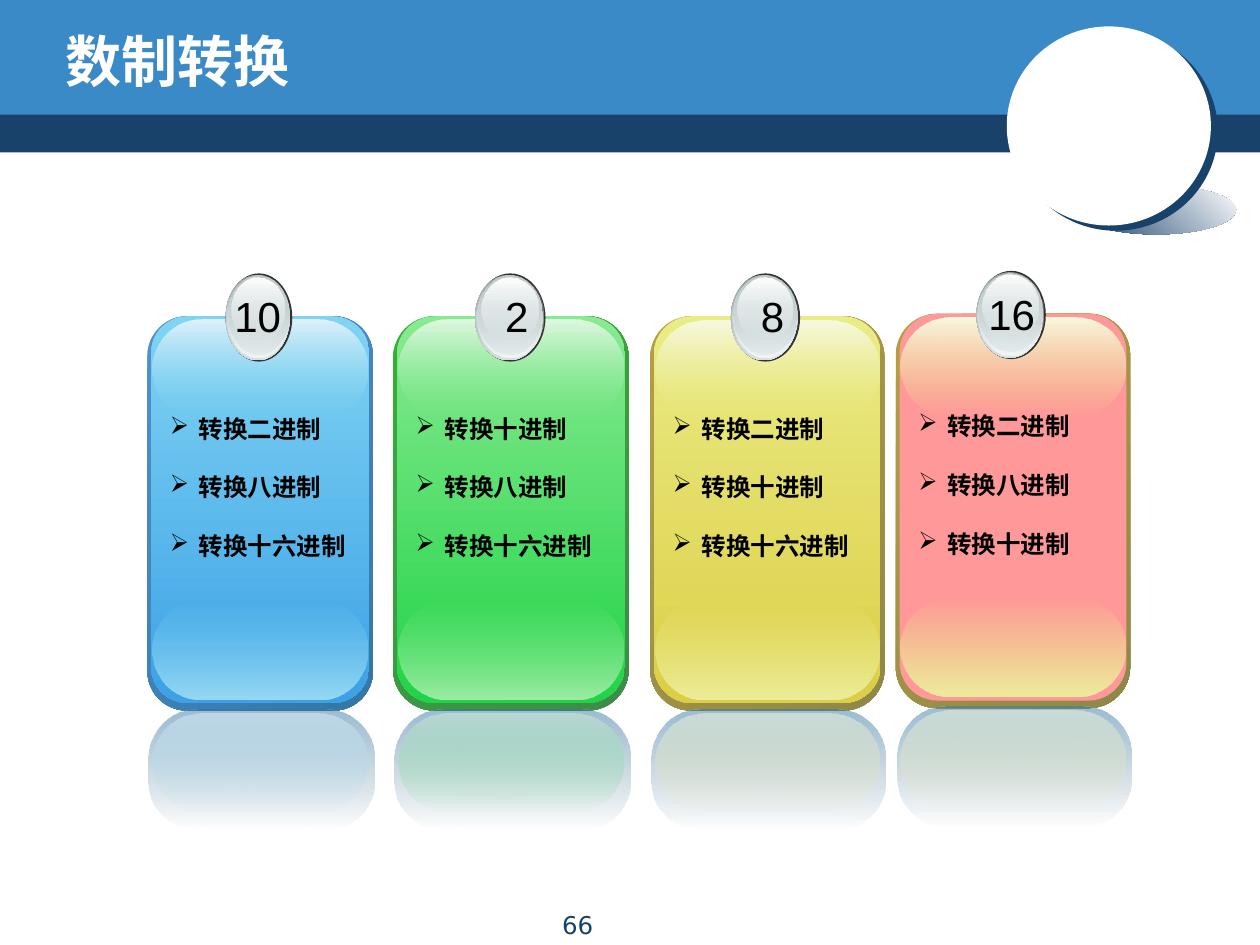
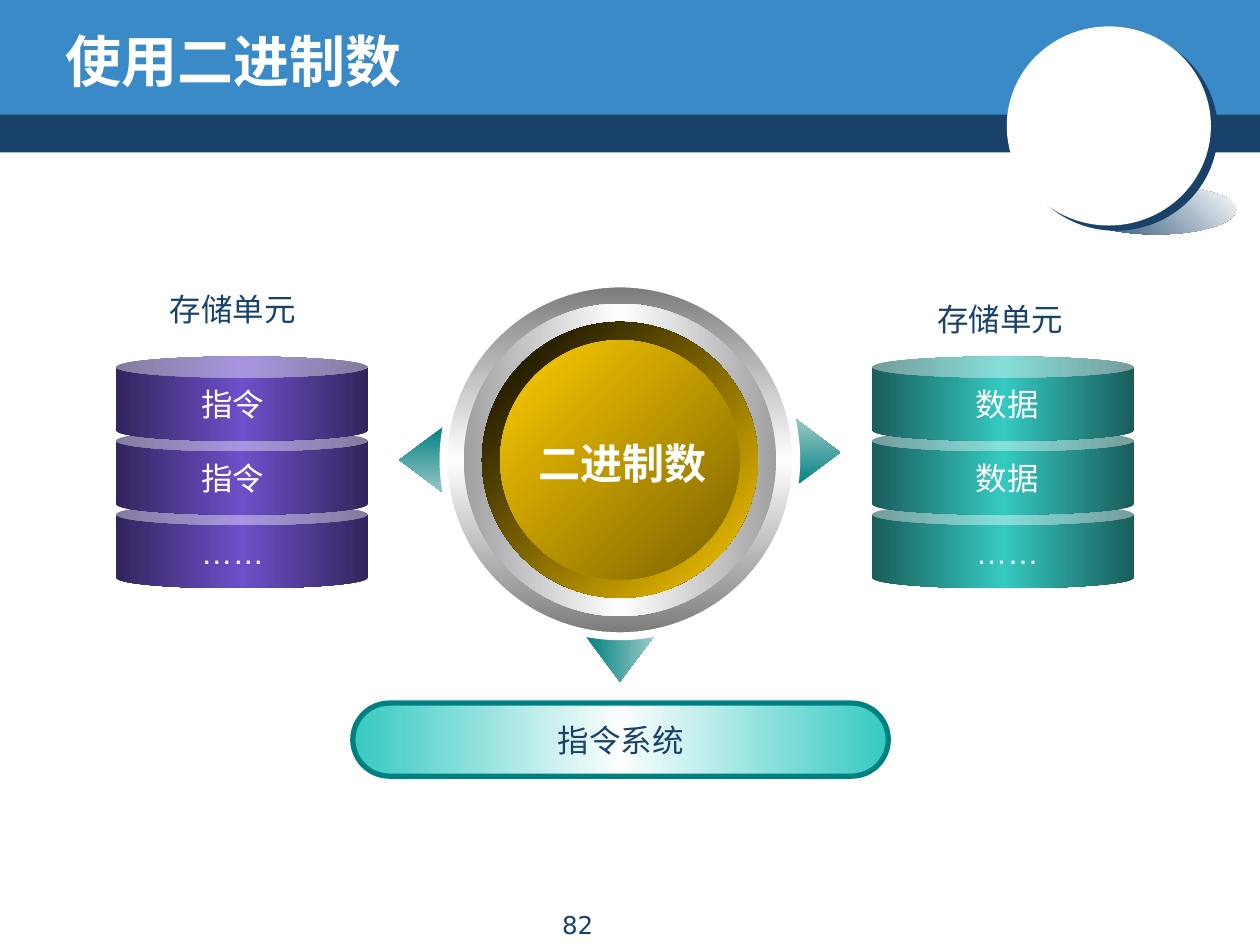
from lxml.etree import SubElement
from pptx import Presentation
from pptx.dml.color import RGBColor
from pptx.enum.shapes import MSO_SHAPE
from pptx.enum.text import MSO_ANCHOR, PP_ALIGN
from pptx.oxml import parse_xml
from pptx.oxml.ns import nsdecls, qn
from pptx.util import Inches, Pt

WHITE = RGBColor(0xFF, 0xFF, 0xFF)
BLACK = RGBColor(0x00, 0x00, 0x00)
NAVY = RGBColor(0x19, 0x42, 0x6B)
BLUE = RGBColor(0x39, 0x8A, 0xC7)

# Card colours: edge start and end, body start and end, lower glow, upper glow
SKY_CARD = [RGBColor.from_string(c) for c in "4E91D4 3477A4 80D4F2 3CA1E6 97DAF4 DFF2FB".split()]
GREEN_CARD = [RGBColor.from_string(c) for c in "34B034 3F8B4A 88EA91 21D347 9DEDA4 E0F8E2".split()]
YELLOW_CARD = [RGBColor.from_string(c) for c in "B59F43 8F8849 EAEC86 DCCE46 EDEE9C F8F9E0".split()]
PINK = RGBColor(0xFF, 0x99, 0x99)
MINT = RGBColor(0xD6, 0xF1, 0xD8)
MIRROR_TOP = RGBColor(0x34, 0x77, 0xA4)
MIRROR_END = RGBColor(0x25, 0x55, 0x75)

CHARCOAL = RGBColor(0x33, 0x33, 0x33)
STEEL = RGBColor(0x99, 0xA1, 0xA2)
SILVER = RGBColor(0xD6, 0xE1, 0xE2)
PEARL = RGBColor(0xF2, 0xF5, 0xF5)
ASH = RGBColor(0xC1, 0xCB, 0xCC)

TEAL = RGBColor(0x00, 0x80, 0x80)
TEAL_PALE = RGBColor(0x9C, 0xCA, 0xCA)
TURQUOISE = RGBColor(0x35, 0xC9, 0xC2)
TURQUOISE_DARK = RGBColor(0x19, 0x5D, 0x5A)
PURPLE = RGBColor(0x6D, 0x50, 0xCA)
PURPLE_DARK = RGBColor(0x32, 0x25, 0x5D)
NEAR_WHITE = RGBColor(0xFC, 0xFE, 0xFD)
GREY = RGBColor(0x7A, 0x7A, 0x7A)
GREY_LIGHT = RGBColor(0xA0, 0xA0, 0xA0)
GOLD = RGBColor(0xFF, 0xCC, 0x00)
GOLD_DARK = RGBColor(0x7A, 0x62, 0x00)

TITLE = {"size": Pt(32), "name": "Comic Neue", "bold": True}
NUMBER = {"size": Pt(24), "name": "Arial"}
CENTRE = {"size": Pt(24), "name": "Arial", "bold": True}
BULLET = {"size": Pt(14), "name": "DejaVu Sans", "bold": True}
FOOTER = {"size": Pt(14), "name": "DejaVu Sans"}
LABEL = {"size": Pt(18), "name": "Arial"}
SYSTEM = {"size": Pt(18), "name": "DejaVu Sans"}


def add_figure(page, kind, box, fill, adjust=()):
    """Fill is a colour or (angle, stops); a stop is a colour or (colour, opacity percent)."""
    shape = page.shapes.add_shape(kind, *[Inches(length) for length in box])
    shape.shadow.inherit = False
    shape.line.fill.background()
    for index, value in enumerate(adjust):
        shape.adjustments[index] = value
    if isinstance(fill, RGBColor):
        shape.fill.solid()
        shape.fill.fore_color.rgb = fill
        return shape
    angle, stops = fill
    gradient = parse_xml(f'<a:gradFill rotWithShape="1" {nsdecls("a")}><a:gsLst/>'
                         f'<a:lin ang="{angle * 60000}" scaled="0"/></a:gradFill>')
    for index, stop in enumerate(stops):
        color, opacity = (stop, 100) if isinstance(stop, RGBColor) else stop
        place = SubElement(gradient[0], qn("a:gs"), pos=str(index * 100000 // (len(stops) - 1)))
        tint = SubElement(place, qn("a:srgbClr"), val=str(color))
        if opacity < 100:
            SubElement(tint, qn("a:alpha"), val=str(opacity * 1000))
    shape.fill.background()
    properties = shape.fill._xPr
    properties.replace(properties.find(qn("a:noFill")), gradient)
    return shape


def add_text(page, box, lines, style, color, align=PP_ALIGN.CENTER, wrap=True, shape=None):
    """Write lines into a new text box, or into the given shape."""
    if shape is None:
        shape = page.shapes.add_textbox(*[Inches(length) for length in box])
    frame = shape.text_frame
    frame.word_wrap = wrap
    for index, line in enumerate(lines):
        para = frame.add_paragraph() if index else frame.paragraphs[0]
        para.alignment = align
        span = para.add_run()
        span.text = line
        span.font.color.rgb = color
        for name, value in style.items():
            setattr(span.font, name, value)
    return frame


deck = Presentation()
deck.slide_width, deck.slide_height = Inches(10), Inches(7.5)
OVAL, ROUNDED = MSO_SHAPE.OVAL, MSO_SHAPE.ROUNDED_RECTANGLE

# Shared header and page number
pages = []
for title, number in [("数制转换", "66"), ("使用二进制数", "82")]:
    page = deck.slides.add_slide(deck.slide_layouts[6])
    pages.append(page)
    add_figure(page, MSO_SHAPE.RECTANGLE, (0, 0.87, 10, 0.34), NAVY)
    add_figure(page, MSO_SHAPE.RECTANGLE, (0, 0, 10, 0.91), BLUE)
    add_figure(page, OVAL, (8.54, 1.47, 1.27, 0.39), (315, [NAVY, WHITE]))
    disc = add_figure(page, OVAL, (7.99, 0.21, 1.62, 1.58), WHITE)
    effects = disc._element.spPr.find(qn("a:effectLst"))
    shadow = SubElement(effects, qn("a:outerShdw"), dist=str(Pt(5)), dir=str(37 * 60000),
                        algn="ctr", rotWithShape="0")
    SubElement(shadow, qn("a:srgbClr"), val=str(NAVY))
    add_figure(page, OVAL, (8.54, 0.68, 0.57, 0.59), WHITE)
    heading = add_text(page, (0.42, 0.17, 8.08, 0.62), [title], TITLE, WHITE, PP_ALIGN.LEFT)
    heading.vertical_anchor = MSO_ANCHOR.MIDDLE
    add_text(page, (3.42, 7.17, 2.33, 0.26), [number], FOOTER, NAVY)

cards_page, binary_page = pages

# Number system cards: number, left, top, width, badge left and width,
# number box left and width, colours, targets
cards = [
    ("10", 1.17, 2.51, 1.79, 1.79, 0.53, 1.74, 0.61, SKY_CARD, ["二", "八", "十六"]),
    ("2", 3.12, 2.51, 1.87, 3.77, 0.56, 3.91, 0.31, GREEN_CARD, ["十", "八", "十六"]),
    ("8", 5.16, 2.51, 1.86, 5.8, 0.55, 5.94, 0.3, YELLOW_CARD, ["二", "十", "十六"]),
    ("16", 7.11, 2.49, 1.86, 7.75, 0.55, 7.73, 0.6, YELLOW_CARD, ["二", "八", "十"]),
]
# Badge layers: inset from left, rise above card top, width lost, height, fill
badge_layers = [
    (0, 0.34, 0, 0.7, CHARCOAL),
    (0, 0.33, 0.02, 0.68, (90, [STEEL, SILVER])),
    (0.01, 0.33, 0.03, 0.66, (90, [(SILVER, 0), PEARL])),
    (0.02, 0.32, 0.05, 0.62, (90, [ASH, (SILVER, 48)])),
    (0.05, 0.31, 0.11, 0.5, (90, [WHITE, (SILVER, 38)])),
]
for number, left, top, width, badge_left, badge_width, text_left, text_width, colors, targets in cards:
    edge_start, edge_end, body_start, body_end, low_glow, high_glow = colors
    body = PINK if number == "16" else (90, [body_start, body_end])
    mirror_glow = [(high_glow, 50), (body_start, 0)]
    if number == "2":
        mirror_glow = [(MINT, 50), (body_end, 0)]
    # Card layers: inset from left, drop from top, width lost, height, rounding, fill
    card_layers = [
        (0, 0, 0, 3.13, 0.175, (45, [edge_start, edge_end])),
        (0.03, 0, 0.06, 3.07, 0.167, body),
        (0.04, 2.26, 0.08, 0.78, 0.5, (90, [(body_start, 0), low_glow])),
        (0.04, 0.03, 0.08, 0.78, 0.5, (90, [high_glow, (body_start, 0)])),
        (0.01, 3.12, 0, 0.95, 0.404, (90, [(MIRROR_TOP, 50), (MIRROR_END, 0)])),
        (0.04, 3.15, 0.08, 0.78, 0.5, (90, mirror_glow)),
    ]
    for inset, drop, loss, height, rounding, fill in card_layers:
        add_figure(cards_page, ROUNDED, (left + inset, top + drop, width - loss, height),
                   fill, [rounding])
    for inset, rise, loss, height, fill in badge_layers:
        add_figure(cards_page, OVAL, (badge_left + inset, top - rise, badge_width - loss, height), fill)
    add_text(cards_page, (text_left, top - 0.25, text_width, 0.5), [number], NUMBER, BLACK)
    frame = add_text(cards_page, (left + 0.08, top + 0.49, width - 0.09, 1.44),
                     [f"转换{target}进制" for target in targets], BULLET, BLACK, PP_ALIGN.LEFT)
    for para in frame.paragraphs:
        para.line_spacing = 2.0
        layout = para._p.get_or_add_pPr()
        layout.set("marL", str(Inches(0.23)))
        layout.set("indent", str(Inches(-0.23)))
        SubElement(layout, qn("a:buChar"), char="➢")

# Arrows and rings around the binary number
for left, top, turn in [(3.08, 3.47, 270), (6.22, 3.41, 90), (4.65, 5.05, 180)]:
    arrow = add_figure(binary_page, MSO_SHAPE.UP_ARROW, (left, top, 0.54, 0.36),
                       (0, [TEAL, TEAL_PALE]), [0.517, 1])
    arrow.rotation = turn
    arrow._element.spPr.find(qn("a:xfrm")).set("flipH", "1")
rings = [
    (2.8, (90, [GREY, WHITE, GREY])),
    (2.48, (0, [GREY_LIGHT, WHITE, GREY_LIGHT])),
    (2.19, (45, [BLACK, GOLD])),
    (1.9, (45, [GOLD, GOLD_DARK])),
]
for size, fill in rings:
    ring = add_figure(binary_page, OVAL, (4.92 - size / 2, 3.65 - size / 2, size, size), fill)
    if size == 2.8:
        ring.line.color.rgb = WHITE
        ring.line.width = Pt(4.5)
add_text(binary_page, (4.16, 3.42, 1.56, 0.5), ["二进制数"], CENTRE, WHITE, wrap=False)

# Storage stacks, drawn from the bottom cylinder up
stacks = [
    (0.92, 2, 1.49, "指令", PURPLE_DARK, PURPLE, (1.25, 2.25)),
    (6.92, 2.08, 7.64, "数据", TURQUOISE_DARK, TURQUOISE, (7.34, 2.33)),
]
for left, width, text_left, content, dark, bright, heading_place in stacks:
    for level, label in reversed(list(enumerate([content, content, "……"]))):
        top = 2.83 + level * 0.585
        add_figure(binary_page, MSO_SHAPE.CAN, (left, top, width, 0.67),
                   (0, [dark, bright, dark]), [0.25])
        add_text(binary_page, (text_left, top + 0.18, 0.71, 0.4), [label], LABEL, WHITE, wrap=False)
    add_text(binary_page, (*heading_place, 1.33, 0.4), ["存储单元"], LABEL, NAVY, PP_ALIGN.LEFT)

system = add_figure(binary_page, ROUNDED, (2.8, 5.58, 4.25, 0.58),
                    (0, [TURQUOISE, NEAR_WHITE, TURQUOISE]), [0.5])
system.line.color.rgb = TEAL
system.line.width = Pt(3)
add_text(binary_page, None, ["指令系统"], SYSTEM, NAVY, wrap=False,
         shape=system).vertical_anchor = MSO_ANCHOR.MIDDLE

deck.save("out.pptx")
